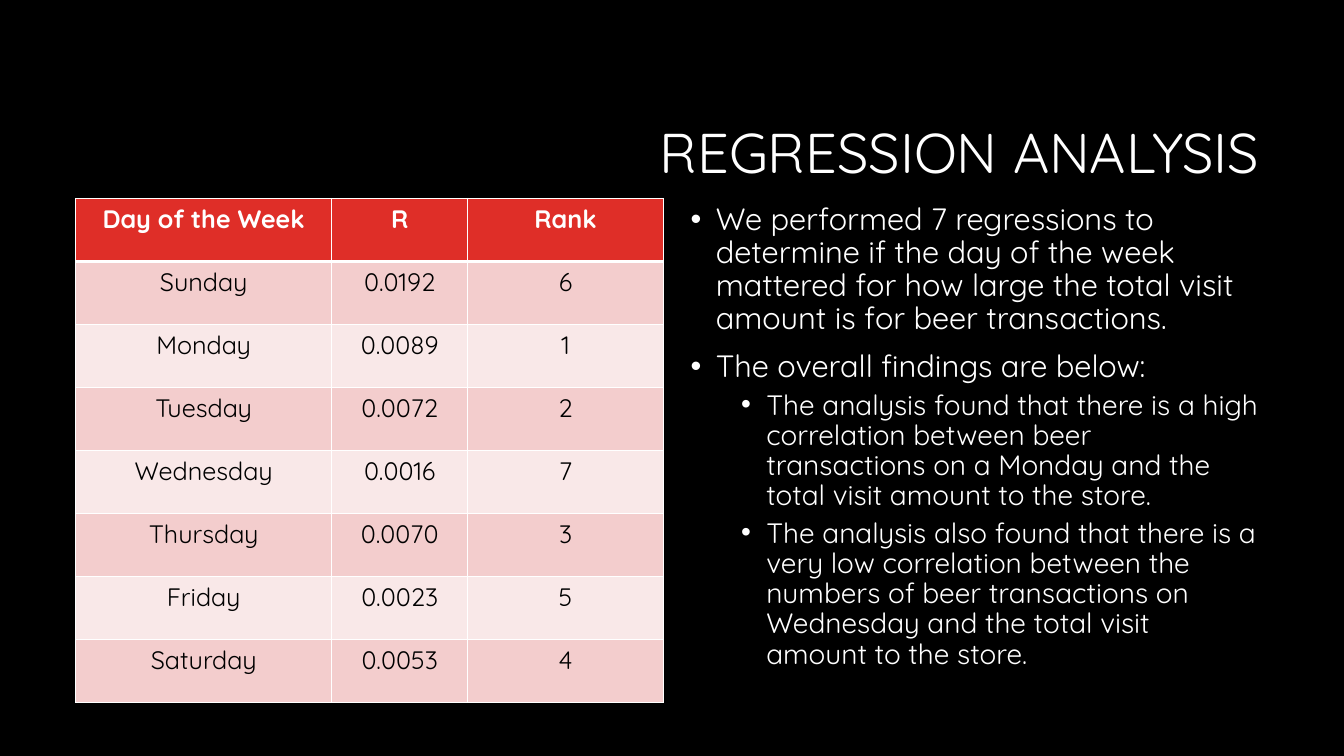
from dataclasses import dataclass

from lxml import etree
from pptx import Presentation
from pptx.dml.color import RGBColor
from pptx.enum.text import MSO_ANCHOR, MSO_AUTO_SIZE, PP_ALIGN
from pptx.oxml.ns import qn
from pptx.util import Inches, Pt

CENTER, RIGHT = PP_ALIGN.CENTER, PP_ALIGN.RIGHT
MIDDLE, TOP = MSO_ANCHOR.MIDDLE, MSO_ANCHOR.TOP
NO_FIT = MSO_AUTO_SIZE.NONE


@dataclass(frozen=True)
class Theme:
    font: str = "Quicksand"
    back: str = "000000"
    light: str = "FFFFFF"
    dark: str = "000000"
    head: str = "DF2E28"
    bands: tuple = ("F3CDCD", "F9E8E8")
    title: int = 40
    points: tuple = (22, 20)
    cell: int = 18
    gaps: tuple = (10, 5)
    lead: float = 0.9
    thin: int = 1
    thick: int = 3


class Deck:
    def __init__(self, theme):
        self.theme = theme
        self.show = Presentation()
        self.show.slide_width = Inches(13.33)
        self.show.slide_height = Inches(7.5)
        self.slide = self.show.slides.add_slide(self.show.slide_layouts[1])
        self.paint(self.slide.background.fill, theme.back)

    def paint(self, fill, color):
        fill.solid()
        fill.fore_color.rgb = RGBColor.from_string(color)

    def add_text(self, para, text, size, color, bold=False):
        run = para.add_run()
        run.text = text
        font = run.font
        font.name, font.size, font.bold = self.theme.font, Pt(size), bold
        font.color.rgb = RGBColor.from_string(color)

    def place(self, shape, box, anchor):
        shape.left, shape.top, shape.width, shape.height = map(Inches, box)
        frame = shape.text_frame
        frame.word_wrap, frame.auto_size = True, NO_FIT
        frame.vertical_anchor = anchor
        return frame

    def title(self, text, box):
        frame = self.place(self.slide.shapes.title, box, MIDDLE)
        para = frame.paragraphs[0]
        para.alignment, para.line_spacing = RIGHT, self.theme.lead
        self.add_text(para, text, self.theme.title, self.theme.light)

    def bullets(self, items, box):
        frame = self.place(self.slide.placeholders[1], box, TOP)
        for i, (level, text) in enumerate(items):
            para = frame.add_paragraph() if i else frame.paragraphs[0]
            para.level, para.line_spacing = level, self.theme.lead
            para.space_before = Pt(self.theme.gaps[level])
            props = para._p.get_or_add_pPr()
            props.set("marL", str(Inches(0.25 + 0.5 * level)))
            props.set("indent", str(Inches(-0.25)))
            etree.SubElement(props, qn("a:buFont")).set("typeface", "Arial")
            etree.SubElement(props, qn("a:buChar")).set("char", "\u2022")
            self.add_text(para, text, self.theme.points[level],
                          self.theme.light)

    def edge(self, cell, widths):
        props = cell._tc.get_or_add_tcPr()
        for i, (side, width) in enumerate(zip("LRTB", widths)):
            line = etree.Element(qn(f"a:ln{side}"), w=str(Pt(width)))
            fill = etree.SubElement(line, qn("a:solidFill"))
            etree.SubElement(fill, qn("a:srgbClr")).set("val", self.theme.light)
            props.insert(i, line)

    def table(self, rows, box, widths):
        theme = self.theme
        frame = self.slide.shapes.add_table(
            len(rows), len(widths), *map(Inches, box))
        grid = frame.table
        for col, width in zip(grid.columns, widths):
            col.width = Inches(width)
        for i, row in enumerate(rows):
            head = i == 0
            fill = theme.head if head else theme.bands[(i - 1) % 2]
            ink = theme.light if head else theme.dark
            top = theme.thick if i == 1 else theme.thin
            base = theme.thick if head else theme.thin
            for j, text in enumerate(row):
                cell = grid.cell(i, j)
                self.paint(cell.fill, fill)
                self.edge(cell, (theme.thin, theme.thin, top, base))
                para = cell.text_frame.paragraphs[0]
                para.alignment = CENTER
                self.add_text(para, text, theme.cell, ink, head)


DAYS = [
    ("Day of the Week", "R", "Rank"),
    ("Sunday", "0.0192", "6"),
    ("Monday", "0.0089", "1"),
    ("Tuesday", "0.0072", "2"),
    ("Wednesday", "0.0016", "7"),
    ("Thursday", "0.0070", "3"),
    ("Friday", "0.0023", "5"),
    ("Saturday", "0.0053", "4"),
]
POINTS = [
    (0, "We performed 7 regressions to determine if the day of the week "
        "mattered for how large the total visit amount is for beer "
        "transactions."),
    (0, "The overall findings are below:"),
    (1, "The analysis found that there is a high correlation between beer "
        "transactions on a Monday and the total visit amount to the store."),
    (1, "The analysis also found that there is a very low correlation "
        "between the numbers of beer transactions on Wednesday and the "
        "total visit amount to the store."),
]

deck = Deck(Theme())
deck.title("REGRESSION ANALYSIS", (3.17, 0.84, 9.42, 1.41))
deck.table(DAYS, (0.75, 1.97, 5.83, 5), (2.54, 1.35, 1.94))
deck.bullets(POINTS, (6.75, 1.97, 5.83, 5))
deck.show.save("out.pptx")
